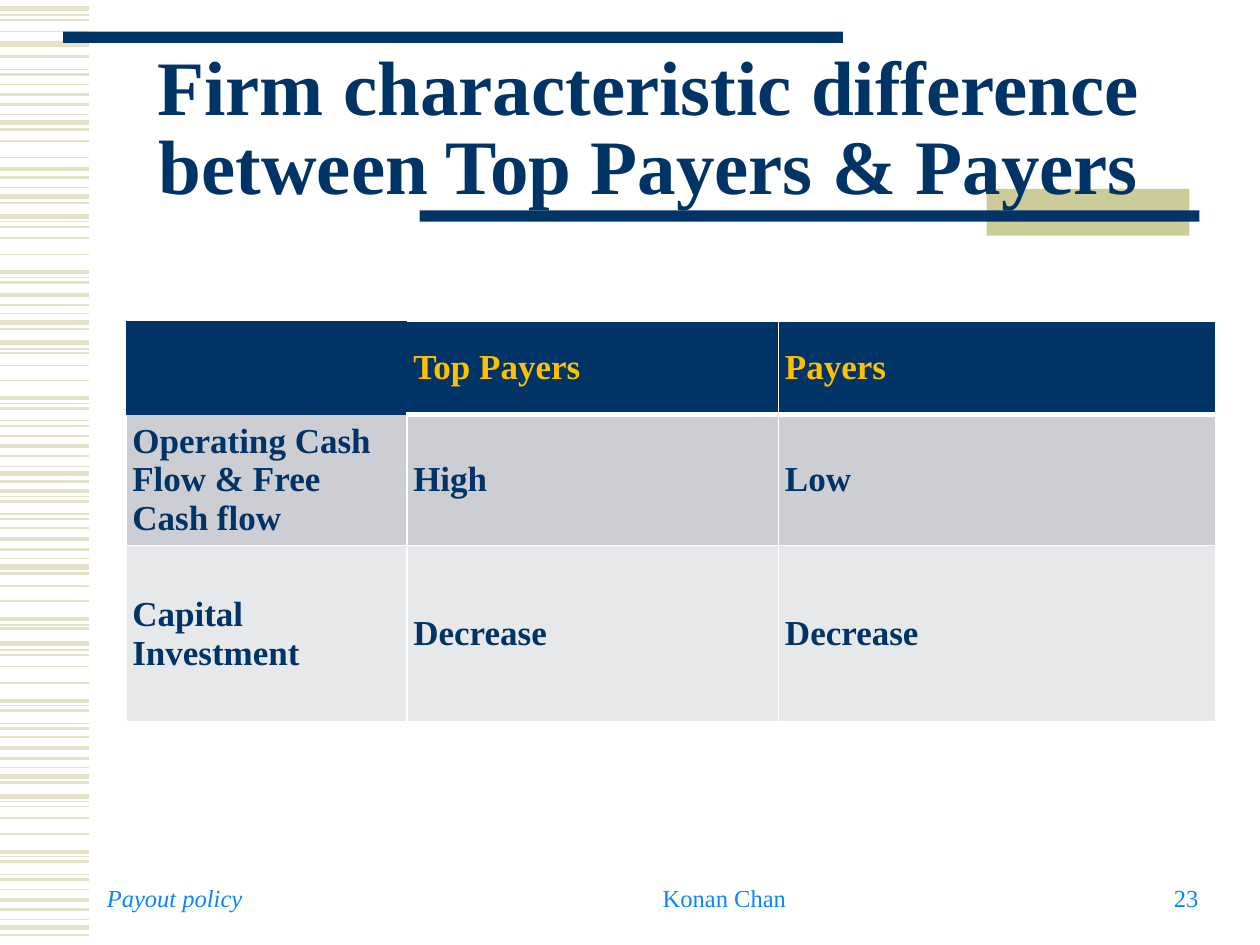
from dataclasses import dataclass

from lxml import etree
from pptx import Presentation
from pptx.dml.color import RGBColor
from pptx.enum.shapes import MSO_CONNECTOR, MSO_SHAPE
from pptx.enum.text import MSO_ANCHOR, MSO_AUTO_SIZE, PP_ALIGN
from pptx.oxml.ns import qn
from pptx.util import Emu, Pt

PX = 9144  # 100 px to the inch
FONT = "Times New Roman"
NAVY, TAN, STRIPE, BLUE = "003366", "CCCC99", "E3E2C7", "0A85FF"
GOLD, WHITE = "FFC000", "FFFFFF"
SIDES = {"l": "a:lnL", "r": "a:lnR", "t": "a:lnT", "b": "a:lnB"}

STRIPE_WIDTH = 71
STRIPES = {  # line weight in points: heights on the page
    3: (7, 35, 97, 156, 172, 256, 272, 376, 450, 511, 616, 632, 736),
    2.25: (75, 134, 216, 234, 316, 354, 390, 428, 491, 556, 594, 676, 714),
    1.5: (45, 59, 83, 103, 141, 161, 224, 242, 261, 324, 338, 362, 382, 398,
          412, 436, 455, 499, 564, 578, 602, 621, 684, 698, 722, 742),
    1: (16, 25, 67, 112, 125, 180, 189, 202, 280, 290, 302, 346, 419, 465,
        477, 520, 529, 542, 585, 640, 649, 662, 706),
    0.75: (12, 55, 91, 149, 176, 220, 249, 277, 320, 334, 370, 394, 408, 443,
           496, 516, 560, 574, 609, 636, 680, 694, 730),
}


@dataclass(frozen=True)
class Bar:
    left: int
    top: int
    width: int
    height: int
    color: str


@dataclass(frozen=True)
class FooterItem:
    text: str
    left: int
    width: int
    align: PP_ALIGN
    italic: bool = False


@dataclass(frozen=True)
class TableRow:
    height: int
    fill: str
    ink: str
    texts: tuple[str, ...]


BARS = (
    Bar(50, 25, 619, 9, NAVY),
    Bar(783, 150, 161, 37, TAN),
    Bar(333, 167, 619, 9, NAVY),
)
FOOTER = (
    FooterItem("Payout policy", 75, 350, PP_ALIGN.LEFT, italic=True),
    FooterItem("Konan Chan", 450, 250, PP_ALIGN.CENTER),
    FooterItem("23", 721, 240, PP_ALIGN.RIGHT),
)
COLUMNS = (223, 295, 347)
ROWS = (
    TableRow(74, NAVY, GOLD, ("", "Top Payers", "Payers")),
    TableRow(103, "CCCED3", NAVY,
             ("Operating Cash Flow & Free Cash flow", "High", "Low")),
    TableRow(140, "E7E8EA", NAVY,
             ("Capital Investment", "Decrease", "Decrease")),
)


def px(length: int) -> Emu:
    return Emu(length * PX)


def rgb(color: str) -> RGBColor:
    return RGBColor.from_string(color)


def style_runs(paragraph, size: int, color: str, bold=False, italic=False) -> None:
    for run in paragraph.runs:
        run.font.name = FONT
        run.font.size = Pt(size)
        run.font.bold = bold
        run.font.italic = italic
        run.font.color.rgb = rgb(color)


def add_stripe(slide, y: int, weight: float) -> None:
    stripe = slide.shapes.add_connector(
        MSO_CONNECTOR.STRAIGHT, 0, px(y), px(STRIPE_WIDTH), px(y))
    stripe.line.color.rgb = rgb(STRIPE)
    stripe.line.width = Pt(weight)
    etree.SubElement(stripe._element.spPr, qn("a:effectLst"))


def add_bar(slide, bar: Bar) -> None:
    shape = slide.shapes.add_shape(
        MSO_SHAPE.RECTANGLE,
        px(bar.left), px(bar.top), px(bar.width), px(bar.height))
    shape.shadow.inherit = False
    shape.fill.solid()
    shape.fill.fore_color.rgb = rgb(bar.color)
    shape.line.fill.background()


def set_title(slide, text: str) -> None:
    title = slide.shapes.title
    title.left, title.top, title.width, title.height = map(px, (71, 42, 888, 125))
    frame = title.text_frame
    frame.text = text
    frame.word_wrap = True
    frame.auto_size = MSO_AUTO_SIZE.NONE
    frame.vertical_anchor = MSO_ANCHOR.MIDDLE
    heading = frame.paragraphs[0]
    heading.alignment = PP_ALIGN.CENTER
    heading.line_spacing = 0.85
    style_runs(heading, 44, NAVY, bold=True)
    slide.shapes._spTree.append(title._element)  # in front of the bars


def add_footer_item(slide, item: FooterItem) -> None:
    box = slide.shapes.add_textbox(px(item.left), px(689), px(item.width), px(47))
    frame = box.text_frame
    frame.text = item.text
    frame.word_wrap = True
    frame.vertical_anchor = MSO_ANCHOR.MIDDLE
    frame.paragraphs[0].alignment = item.align
    style_runs(frame.paragraphs[0], 14, BLUE, italic=item.italic)


def border_weights(row: int, column: int) -> dict[str, int]:
    """Weight in points of each drawn side; the other sides stay empty."""
    if (row, column) == (0, 0):
        return {}
    weights = dict.fromkeys(SIDES, 1)
    if row == 0:
        weights["b"] = 3
        if column == 1:
            del weights["l"]
    elif (row, column) == (1, 0):
        del weights["t"]
    return weights


def set_borders(cell, weights: dict[str, int]) -> None:
    properties = cell._tc.get_or_add_tcPr()
    for position, (side, tag) in enumerate(SIDES.items()):
        line = etree.Element(qn(tag))
        properties.insert(position, line)
        if side in weights:
            line.set("w", str(Pt(weights[side])))
            fill = etree.SubElement(line, qn("a:solidFill"))
            etree.SubElement(fill, qn("a:srgbClr"), val=WHITE)
        else:
            line.set("w", "0")
            etree.SubElement(line, qn("a:noFill"))


def add_comparison(slide) -> None:
    table = slide.shapes.add_table(
        len(ROWS), len(COLUMNS), px(100), px(255),
        px(sum(COLUMNS)), px(sum(row.height for row in ROWS))).table
    for column, width in zip(table.columns, COLUMNS):
        column.width = px(width)
    for r, row in enumerate(ROWS):
        table.rows[r].height = px(row.height)
        for c, text in enumerate(row.texts):
            cell = table.cell(r, c)
            cell.fill.solid()
            cell.fill.fore_color.rgb = rgb(row.fill)
            cell.vertical_anchor = MSO_ANCHOR.MIDDLE
            cell.margin_left = cell.margin_right = px(5)
            cell.margin_top = cell.margin_bottom = px(2)
            cell.text_frame.text = text
            style_runs(cell.text_frame.paragraphs[0], 20, row.ink, bold=True)
            set_borders(cell, border_weights(r, c))


def main() -> None:
    deck = Presentation()
    deck.slide_width, deck.slide_height = px(1000), px(750)
    slide = deck.slides.add_slide(deck.slide_layouts[5])
    for weight, heights in STRIPES.items():
        for y in heights:
            add_stripe(slide, y, weight)
    for bar in BARS:
        add_bar(slide, bar)
    set_title(slide, "Firm characteristic difference between Top Payers & Payers")
    for item in FOOTER:
        add_footer_item(slide, item)
    add_comparison(slide)
    deck.save("out.pptx")


if __name__ == "__main__":
    main()
